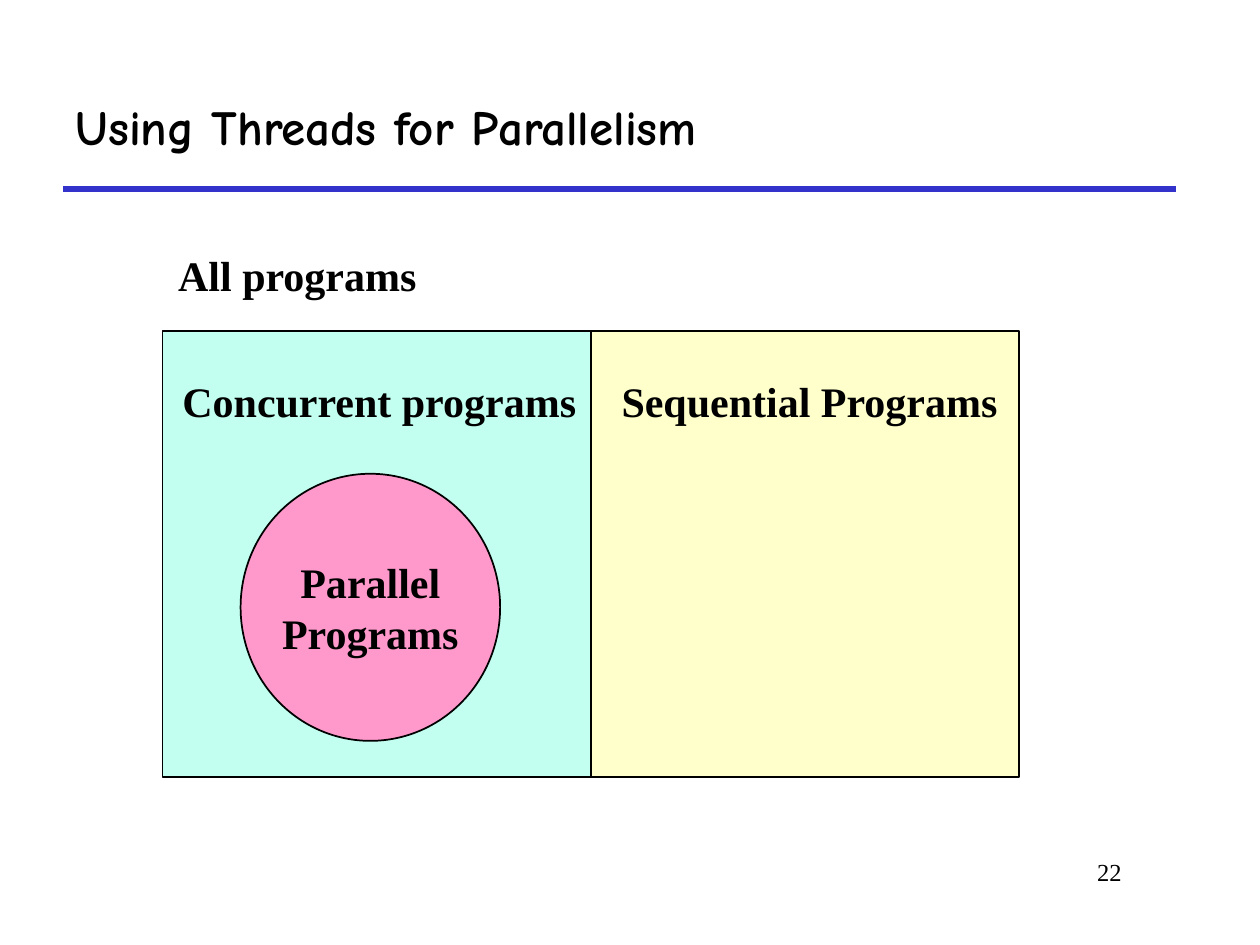
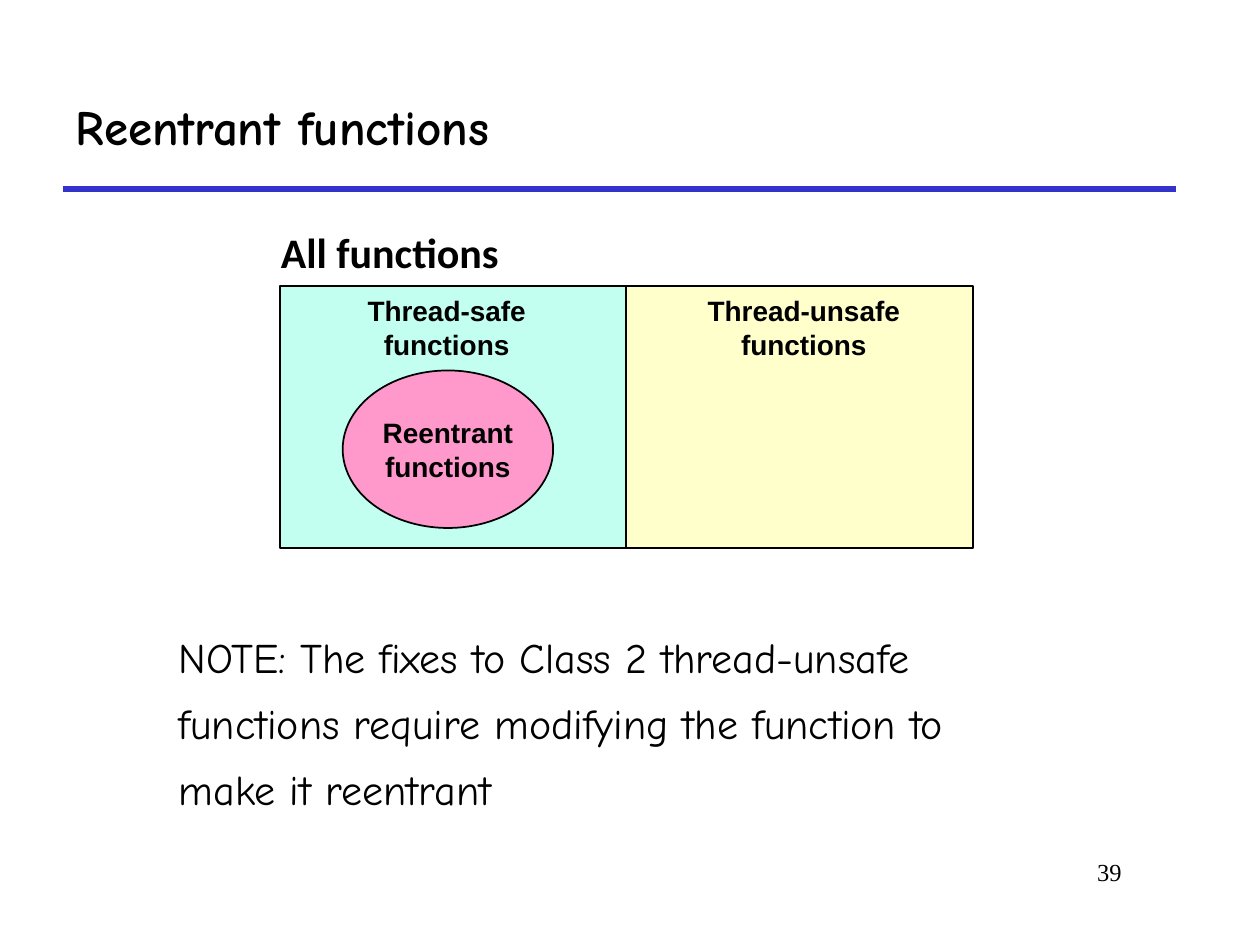
from typing import NamedTuple

from lxml import etree
from pptx import Presentation
from pptx.dml.color import RGBColor
from pptx.enum.shapes import MSO_CONNECTOR, MSO_SHAPE
from pptx.enum.text import MSO_ANCHOR, MSO_AUTO_SIZE, PP_ALIGN
from pptx.oxml.ns import qn
from pptx.util import Pt

PX = 9144  # EMU per px, 100 px to the inch
TITLE_ONLY = 5
RECT, OVAL = MSO_SHAPE.RECTANGLE, MSO_SHAPE.OVAL
STRAIGHT = MSO_CONNECTOR.STRAIGHT
LEFT, CENTER, RIGHT = PP_ALIGN.LEFT, PP_ALIGN.CENTER, PP_ALIGN.RIGHT
TOP, MIDDLE = MSO_ANCHOR.TOP, MSO_ANCHOR.MIDDLE
FIT, FIXED = MSO_AUTO_SIZE.SHAPE_TO_FIT_TEXT, MSO_AUTO_SIZE.NONE

COLORS = {
    "ink": "000000",
    "rule": "3333CC",
    "mint": "C2FFF0",
    "cream": "FFFFCC",
    "pink": "FF99CC",
}
COMIC, TIMES = "Comic Neue", "Times New Roman"
ARIAL, CALIBRI = "Arial", "Calibri"


class Box(NamedTuple):
    x: int
    y: int
    w: int
    h: int

    def emu(self) -> list[int]:
        return [side * PX for side in self]


class Style(NamedTuple):
    font: str
    size: int
    bold: bool = True
    align: PP_ALIGN = CENTER
    anchor: MSO_ANCHOR = MIDDLE


class Label(NamedTuple):
    text: str
    box: Box
    style: Style


class Venn(NamedTuple):
    """Two equal panels side by side, with an oval in the left one."""
    panel: Box
    oval: Label
    labels: list[Label]


TITLE = Style(COMIC, 28, align=LEFT)
NUMBER = Style(TIMES, 14, False, RIGHT, TOP)
NOTE = Style(COMIC, 24, False, LEFT, TOP)
LARGE, HEAD, SMALL = Style(TIMES, 24), Style(CALIBRI, 24), Style(ARIAL, 16)

PROGRAMS = Venn(
    Box(129, 263, 340, 354),
    Label("Parallel\nPrograms", Box(191, 376, 206, 212), LARGE),
    [
        Label("All programs", Box(131, 193, 210, 50), LARGE),
        Label("Concurrent programs", Box(134, 293, 334, 50), LARGE),
        Label("Sequential Programs", Box(483, 293, 319, 50), LARGE),
    ],
)
FUNCTIONS = Venn(
    Box(222, 227, 275, 208),
    Label("Reentrant\nfunctions", Box(272, 294, 167, 125), SMALL),
    [
        Label("All functions", Box(213, 175, 193, 50), HEAD),
        Label("Thread-safe\nfunctions", Box(280, 228, 149, 64), SMALL),
        Label("Thread-unsafe\nfunctions", Box(550, 228, 176, 64), SMALL),
    ],
)
FIX = Label(
    "NOTE: The fixes to Class 2 thread-unsafe\n"
    "functions require modifying the function to\n"
    "make it reentrant",
    Box(82, 492, 836, 159),
    NOTE,
)


def color(name: str) -> RGBColor:
    return RGBColor.from_string(COLORS[name])


def write(frame, text: str, style: Style, wrap: bool = False) -> None:
    frame.text = text
    frame.word_wrap = wrap
    frame.vertical_anchor = style.anchor
    for para in frame.paragraphs:
        para.alignment = style.align
        for run in para.runs:
            run.font.name = style.font
            run.font.size = Pt(style.size)
            run.font.bold = style.bold
            run.font.color.rgb = color("ink")


def add_label(slide, label: Label, wrap: bool = False):
    frame = slide.shapes.add_textbox(*label.box.emu()).text_frame
    write(frame, label.text, label.style, wrap)
    frame.auto_size = FIT
    return frame


def add_form(slide, kind: MSO_SHAPE, box: Box, fill: str):
    form = slide.shapes.add_shape(kind, *box.emu())
    form.shadow.inherit = False
    form.fill.solid()
    form.fill.fore_color.rgb = color(fill)
    form.line.color.rgb = color("ink")
    form.line.width = Pt(1)
    return form


def add_rule(slide) -> None:
    start_x, end_x, y = 50 * PX, 933 * PX, 150 * PX
    rule = slide.shapes.add_connector(STRAIGHT, start_x, y, end_x, y)
    rule.line.color.rgb = color("rule")
    rule.line.width = Pt(3)
    etree.SubElement(rule._element.spPr, qn("a:effectLst"))


def add_slide(deck, title: str, number: str):
    slide = deck.slides.add_slide(deck.slide_layouts[TITLE_ONLY])
    add_rule(slide)
    head = slide.shapes.title
    head.left, head.top, head.width, head.height = Box(50, 50, 883, 100).emu()
    write(head.text_frame, title, TITLE, wrap=True)
    head.text_frame.auto_size = FIXED
    add_label(slide, Label(number, Box(758, 675, 142, 50), NUMBER), wrap=True)
    return slide


def add_venn(slide, venn: Venn) -> None:
    x, y, w, h = venn.panel
    for col, fill in enumerate(("mint", "cream")):
        add_form(slide, RECT, Box(x + col * w, y, w, h), fill)
    for label in venn.labels:
        add_label(slide, label)
    oval = add_form(slide, OVAL, venn.oval.box, "pink")
    write(oval.text_frame, venn.oval.text, venn.oval.style)


def add_note(slide, note: Label) -> None:
    for para in add_label(slide, note, wrap=True).paragraphs:
        para.level = 1
        para.line_spacing = 1.1
        para.space_before = Pt(6)
        props = para._p.get_or_add_pPr()
        props.set("marL", str(50 * PX))
        props.set("indent", "0")


def main() -> None:
    deck = Presentation()
    deck.slide_width, deck.slide_height = 1000 * PX, 750 * PX
    add_venn(add_slide(deck, "Using Threads for Parallelism", "22"), PROGRAMS)
    slide = add_slide(deck, "Reentrant functions", "39")
    add_venn(slide, FUNCTIONS)
    add_note(slide, FIX)
    deck.save("out.pptx")


if __name__ == "__main__":
    main()
